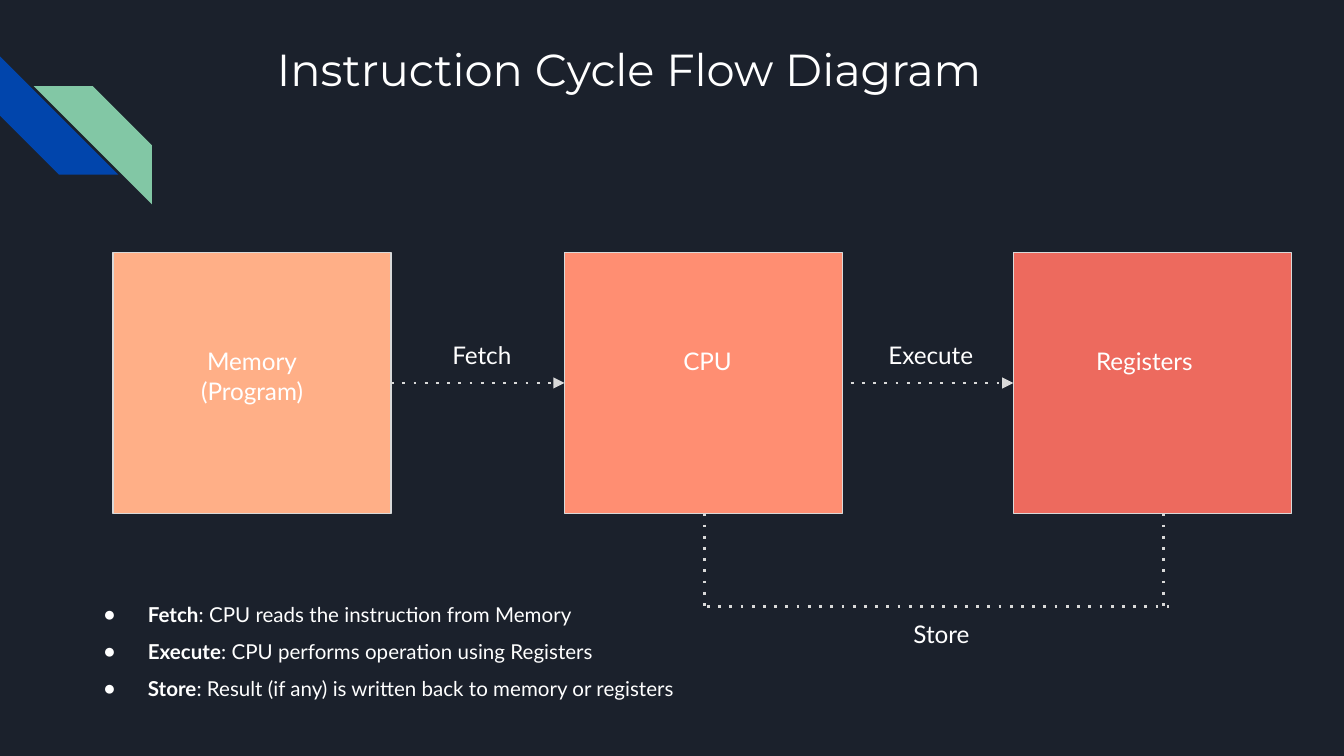
from lxml.etree import SubElement
from pptx import Presentation
from pptx.dml.color import RGBColor
from pptx.enum.shapes import MSO_CONNECTOR, MSO_SHAPE
from pptx.enum.text import MSO_ANCHOR, MSO_AUTO_SIZE, PP_ALIGN
from pptx.oxml.ns import qn
from pptx.util import Inches, Pt

COLORS = {
    "back": "1B212C",
    "text": "FFFFFF",
    "line": "D9D9D9",
    "blue": "0145AC",
    "green": "82C7A5",
    "peach": "FFAF87",
    "coral": "FF8E72",
    "red": "ED6A5E",
}


def color(name):
    return RGBColor.from_string(COLORS[name])


class Deck:
    head = "Montserrat"
    font = "Lato"

    def __init__(self, wide, high):
        self.file = Presentation()
        self.file.slide_width = Inches(wide)
        self.file.slide_height = Inches(high)
        self.slide = self.file.slides.add_slide(self.file.slide_layouts[1])
        fill = self.slide.background.fill
        fill.solid()
        fill.fore_color.rgb = color("back")

    def style(self, run, size, font, bold=False):
        run.font.size = Pt(size)
        run.font.name = font
        run.font.bold = bold
        run.font.color.rgb = color("text")

    def frame(self, shape):
        frame = shape.text_frame
        frame.word_wrap = True
        frame.auto_size = MSO_AUTO_SIZE.NONE
        frame.vertical_anchor = MSO_ANCHOR.TOP
        frame.margin_left = frame.margin_right = Inches(0.1)
        frame.margin_top = frame.margin_bottom = Inches(0.1)
        return frame

    def place(self, shape, box):
        shape.left, shape.top, shape.width, shape.height = map(Inches, box)
        return self.frame(shape)

    def title(self, text, box):
        frame = self.place(self.slide.shapes.title, box)
        frame.text = text
        para = frame.paragraphs[0]
        para.alignment = PP_ALIGN.LEFT
        self.style(para.runs[0], 24, self.head)

    def bullets(self, items, box):
        frame = self.place(self.slide.placeholders[1], box)
        for i, (term, note) in enumerate(items):
            para = frame.add_paragraph() if i else frame.paragraphs[0]
            para.line_spacing = 1.5
            para.space_before = Pt(0)
            for text, bold in ((term, True), (": " + note, False)):
                run = para.add_run()
                run.text = text
                self.style(run, 11, self.font, bold)
            props = para._p.get_or_add_pPr()
            props.set("marL", str(Inches(0.5)))
            props.set("indent", str(Inches(-0.33)))
            tint = SubElement(props, qn("a:buClr"))
            SubElement(tint, qn("a:srgbClr"), val=COLORS["text"])
            SubElement(props, qn("a:buChar"), char="●")

    def label(self, text, box):
        frame = self.frame(self.slide.shapes.add_textbox(*map(Inches, box)))
        frame.text = text
        for para in frame.paragraphs:
            para.alignment = PP_ALIGN.CENTER
            self.style(para.runs[0], 13, self.font)

    def shape(self, kind, box, fill):
        shape = self.slide.shapes.add_shape(kind, *map(Inches, box))
        shape.shadow.inherit = False
        shape.fill.solid()
        shape.fill.fore_color.rgb = color(fill)
        return shape

    def stripe(self, left, top, turn, fill):
        box = (left, top, 0.88, 0.88)
        shape = self.shape(MSO_SHAPE.DIAGONAL_STRIPE, box, fill)
        shape.rotation = turn
        shape.line.fill.background()

    def block(self, box, fill):
        shape = self.shape(MSO_SHAPE.FLOWCHART_PROCESS, box, fill)
        shape.line.color.rgb = color("line")
        shape.line.width = Pt(0.75)

    def dots(self, start, end, arrow=False):
        line = self.slide.shapes.add_connector(
            MSO_CONNECTOR.STRAIGHT, *map(Inches, start + end))
        line.line.color.rgb = color("line")
        line.line.width = Pt(1.5)
        props = line.line._get_or_add_ln()
        SubElement(props, qn("a:prstDash"), val="dot")
        if arrow:
            SubElement(props, qn("a:tailEnd"), type="triangle")
        SubElement(line._element.spPr, qn("a:effectLst"))


def main():
    deck = Deck(10, 10 * 9 / 16)
    deck.stripe(0, 0.42, 270, "blue")
    deck.stripe(0.25, 0.64, 90, "green")
    deck.title("Instruction Cycle Flow Diagram", (1.96, 0.21, 6.06, 0.74))

    top, wide, high = 1.88, 2.07, 1.94
    base, low, mid = top + high, 4.51, top + high / 2
    blocks = [
        ("Memory\n(Program)", 0.84, 1.09, "peach"),
        ("CPU", 4.2, 4.48, "coral"),
        ("Registers", 7.54, 7.73, "red"),
    ]
    for name, left, inset, fill in blocks:
        deck.block((left, top, wide, high), fill)
        deck.label(name, (inset, 2.48, 1.57, 0.74))

    for start, end in ((2.91, 4.2), (6.33, 7.54)):
        deck.dots((start, mid), (end, mid), arrow=True)
    for x in (5.24, 8.66):
        deck.dots((x, base), (x, 4.55))
    deck.dots((5.26, low), (8.7, low))

    for name, left, y in (("Fetch", 3.06, 2.43), ("Execute", 6.4, 2.43), ("Store", 6.48, low)):
        deck.label(name, (left, y, 1.05, 0.31))

    deck.bullets([
        ("Fetch", "CPU reads the instruction from Memory"),
        ("Execute", "CPU performs operation using Registers"),
        ("Store", "Result (if any) is written back to memory or registers"),
    ], (0.5, 4.29, 4.63, 1.04))
    deck.file.save("out.pptx")


if __name__ == "__main__":
    main()
